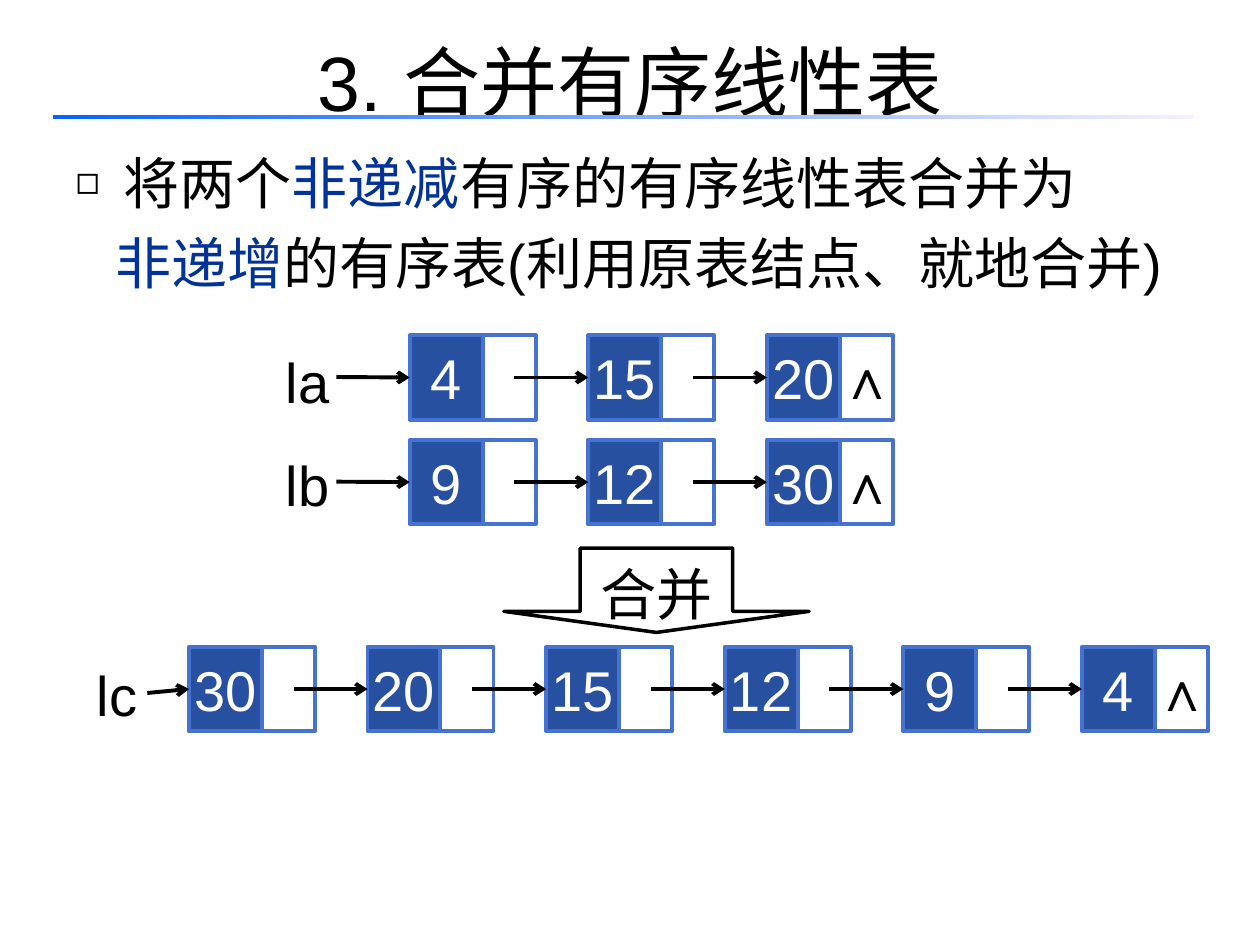
from dataclasses import dataclass

from lxml.etree import SubElement
from pptx import Presentation
from pptx.dml.color import RGBColor
from pptx.enum.shapes import MSO_CONNECTOR, MSO_SHAPE
from pptx.enum.text import MSO_ANCHOR, MSO_AUTO_SIZE, PP_ALIGN
from pptx.oxml.ns import qn
from pptx.util import Cm, Pt


@dataclass(frozen=True)
class Theme:
    """Colours, font and type sizes of the deck."""
    font: str = "Arial"
    title_size: int = 44
    text_size: int = 32
    ink: str = "000000"
    paper: str = "FFFFFF"
    accent: str = "003399"
    cell_fill: str = "2850A0"
    cell_line: str = "4573CF"
    rule_start: str = "0066FF"
    rule_end: str = "F7EFFF"


class ListSlide:
    """Draws linked lists and text on one slide."""

    NODE_PITCH = 3.6
    VALUE_WIDTH = 1.47
    POINTER_OFFSET = 1.23
    POINTER_WIDTH = 1.31
    NODE_HEIGHT = 1.7
    LINK_OFFSET = 2.11

    def __init__(self, deck, theme):
        self.theme = theme
        self.page = deck.slides.add_slide(deck.slide_layouts[1])

    def place(self, shape, left, top, width, height):
        shape.left, shape.top = Cm(left), Cm(top)
        shape.width, shape.height = Cm(width), Cm(height)

    def style(self, span, color, size=None, bold=False):
        span.font.name = self.theme.font
        span.font.size = Pt(size or self.theme.text_size)
        span.font.bold = bold
        span.font.color.rgb = RGBColor.from_string(color)

    def fill_text(self, shape, text, color, size=None, bold=False, spacing=1.0,
                  align=PP_ALIGN.CENTER):
        frame = shape.text_frame
        frame.text = text
        para = frame.paragraphs[0]
        para.alignment = align
        para.line_spacing = spacing
        self.style(para.runs[0], color, size, bold)
        return frame

    def title(self, text):
        box = self.page.shapes.title
        self.place(box, 1.27, -0.2, 22.86, 3.18)
        frame = self.fill_text(box, text, self.theme.ink, self.theme.title_size, spacing=1.25)
        frame.auto_size = MSO_AUTO_SIZE.NONE
        frame.vertical_anchor = MSO_ANCHOR.MIDDLE

    def body(self, lines):
        box = self.page.placeholders[1]
        self.place(box, 1.27, 2.59, 23.7, 3.53)
        frame = box.text_frame
        frame.auto_size = MSO_AUTO_SIZE.NONE
        for index, parts in enumerate(lines):
            para = frame.add_paragraph() if index else frame.paragraphs[0]
            para.line_spacing = 1.2
            para.space_before = Pt(0)
            self.bullet(para, "" if index else "◻")
            for text, color in parts:
                span = para.add_run()
                span.text = text
                self.style(span, color)

    def bullet(self, para, mark):
        properties = para._p.get_or_add_pPr()
        properties.set("marL", str(Cm(0.97 if mark else 0.8)))
        properties.set("indent", str(Cm(-0.97 if mark else 0)))
        if mark:
            SubElement(properties, qn("a:buSzPct"), val="70000")
            SubElement(properties, qn("a:buFont"), typeface=self.theme.font)
            SubElement(properties, qn("a:buChar"), char=mark)
        else:
            SubElement(properties, qn("a:buNone"))

    def shape(self, kind, left, top, width, height, fill=None, line=None, weight=2.25):
        shape = self.page.shapes.add_shape(kind, Cm(left), Cm(top), Cm(width), Cm(height))
        shape.shadow.inherit = False
        if fill:
            shape.fill.solid()
            shape.fill.fore_color.rgb = RGBColor.from_string(fill)
        else:
            shape.fill.background()
        if line:
            shape.line.color.rgb = RGBColor.from_string(line)
            shape.line.width = Pt(weight)
        else:
            shape.line.fill.background()
        return shape

    def rule(self):
        bar = self.shape(MSO_SHAPE.RECTANGLE, 1.07, 2.31, 22.99, 0.1)
        bar.fill.gradient()
        bar.fill.gradient_angle = 0
        colors = (self.theme.rule_start, self.theme.rule_end)
        for stop, color in zip(bar.fill.gradient_stops, colors):
            stop.color.rgb = RGBColor.from_string(color)

    def label(self, text, left, top):
        box = self.page.shapes.add_textbox(Cm(left), Cm(top), Cm(1.5), Cm(1.96))
        frame = self.fill_text(box, text, self.theme.ink, spacing=1.25, align=PP_ALIGN.LEFT)
        frame.word_wrap = True

    def node(self, value, left, top, last):
        theme = self.theme
        pointer = self.shape(MSO_SHAPE.RECTANGLE, left + self.POINTER_OFFSET, top,
                             self.POINTER_WIDTH, self.NODE_HEIGHT, line=theme.cell_line)
        if last:
            frame = self.fill_text(pointer, "∧", theme.ink, bold=True)
            frame.word_wrap = False
            frame.margin_left, frame.margin_right = Cm(0.3), 0
        cell = self.shape(MSO_SHAPE.RECTANGLE, left, top, self.VALUE_WIDTH,
                          self.NODE_HEIGHT, theme.cell_fill, theme.cell_line)
        self.fill_text(cell, str(value), theme.paper).word_wrap = False
        return cell

    def arrow(self, left, top, target):
        line = self.page.shapes.add_connector(
            MSO_CONNECTOR.STRAIGHT, Cm(left), Cm(top), target.left, Cm(top))
        line.end_connect(target, 1)
        line.line.color.rgb = RGBColor.from_string(self.theme.ink)
        line.line.width = Pt(2.25)
        SubElement(line.line._get_or_add_ln(), qn("a:tailEnd"), type="arrow")
        SubElement(line._element.spPr, qn("a:effectLst"))

    def chain(self, name, values, left, top, label_at, arrow_from):
        self.label(name, *label_at)
        lefts = [left + index * self.NODE_PITCH for index in range(len(values))]
        cells = [self.node(value, x, top, x == lefts[-1]) for value, x in zip(values, lefts)]
        self.arrow(*arrow_from, cells[0])
        for x, cell in zip(lefts, cells[1:]):
            self.arrow(x + self.LINK_OFFSET, top + self.NODE_HEIGHT / 2, cell)

    def merge_arrow(self, text):
        arrow = self.shape(MSO_SHAPE.DOWN_ARROW, 10.16, 11.05, 6.15, 1.7,
                           line=self.theme.ink, weight=2)
        arrow.adjustments[0], arrow.adjustments[1] = 0.5, 0.25
        frame = self.fill_text(arrow, text, self.theme.ink, spacing=1.25)
        frame.vertical_anchor = MSO_ANCHOR.MIDDLE


def main():
    deck = Presentation()
    deck.slide_width, deck.slide_height = Cm(25.4), Cm(19.05)
    theme = Theme()
    slide = ListSlide(deck, theme)
    slide.title("3. 合并有序线性表")
    slide.rule()
    slide.body([
        [("将两个", theme.ink), ("非递减", theme.accent),
         ("有序的有序线性表合并为", theme.ink)],
        [("非递增", theme.accent), ("的有序表(利用原表结点、就地合并)", theme.ink)],
    ])
    slide.chain("la", [4, 15, 20], 8.26, 6.76, (5.51, 6.55), (6.78, 7.6))
    slide.chain("lb", [9, 12, 30], 8.26, 8.87, (5.51, 8.61), (6.78, 9.71))
    slide.chain("lc", [30, 20, 15, 12, 9, 4], 3.81, 13.04, (1.7, 12.85), (2.97, 13.97))
    slide.merge_arrow("合并")
    deck.save("out.pptx")


if __name__ == "__main__":
    main()
